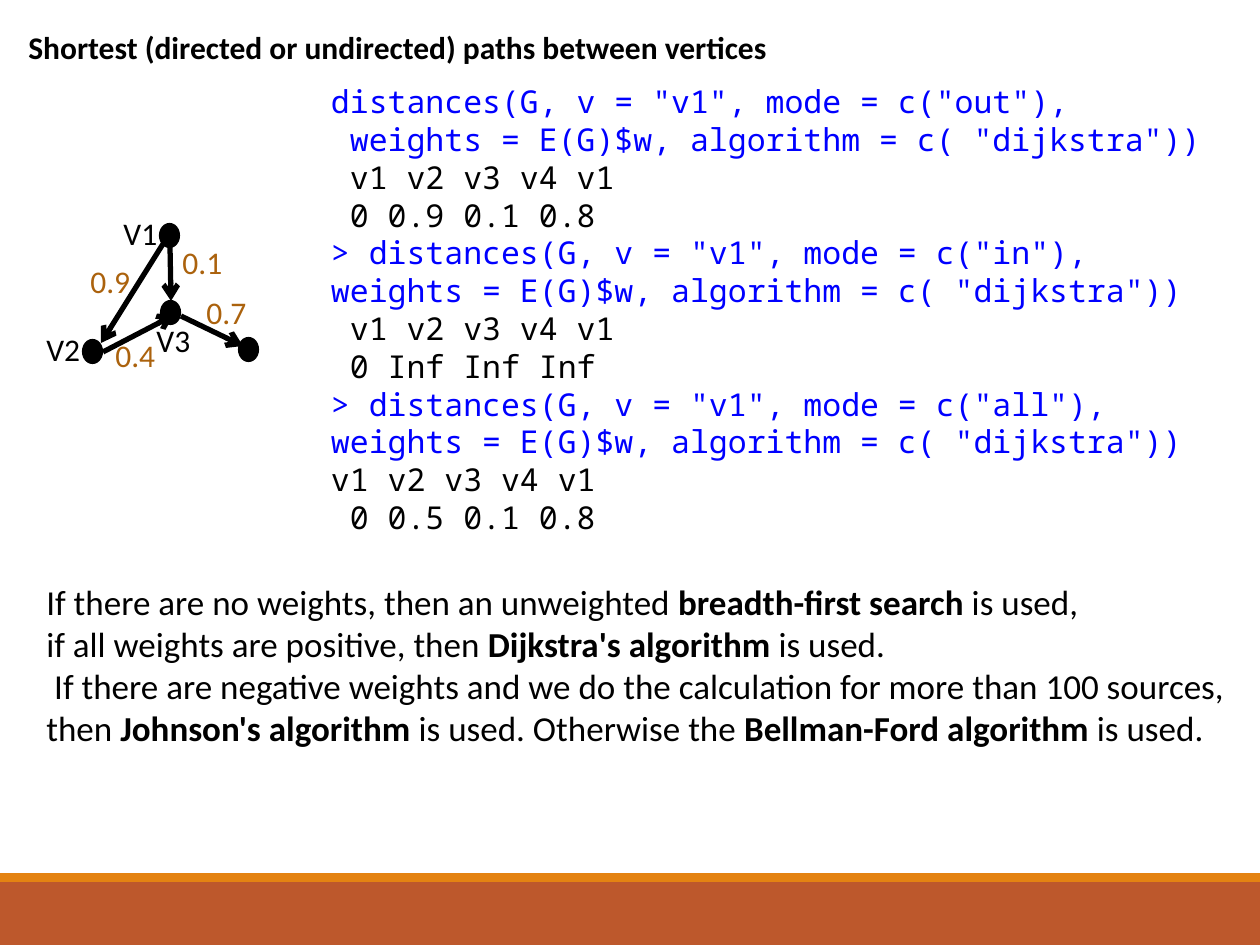
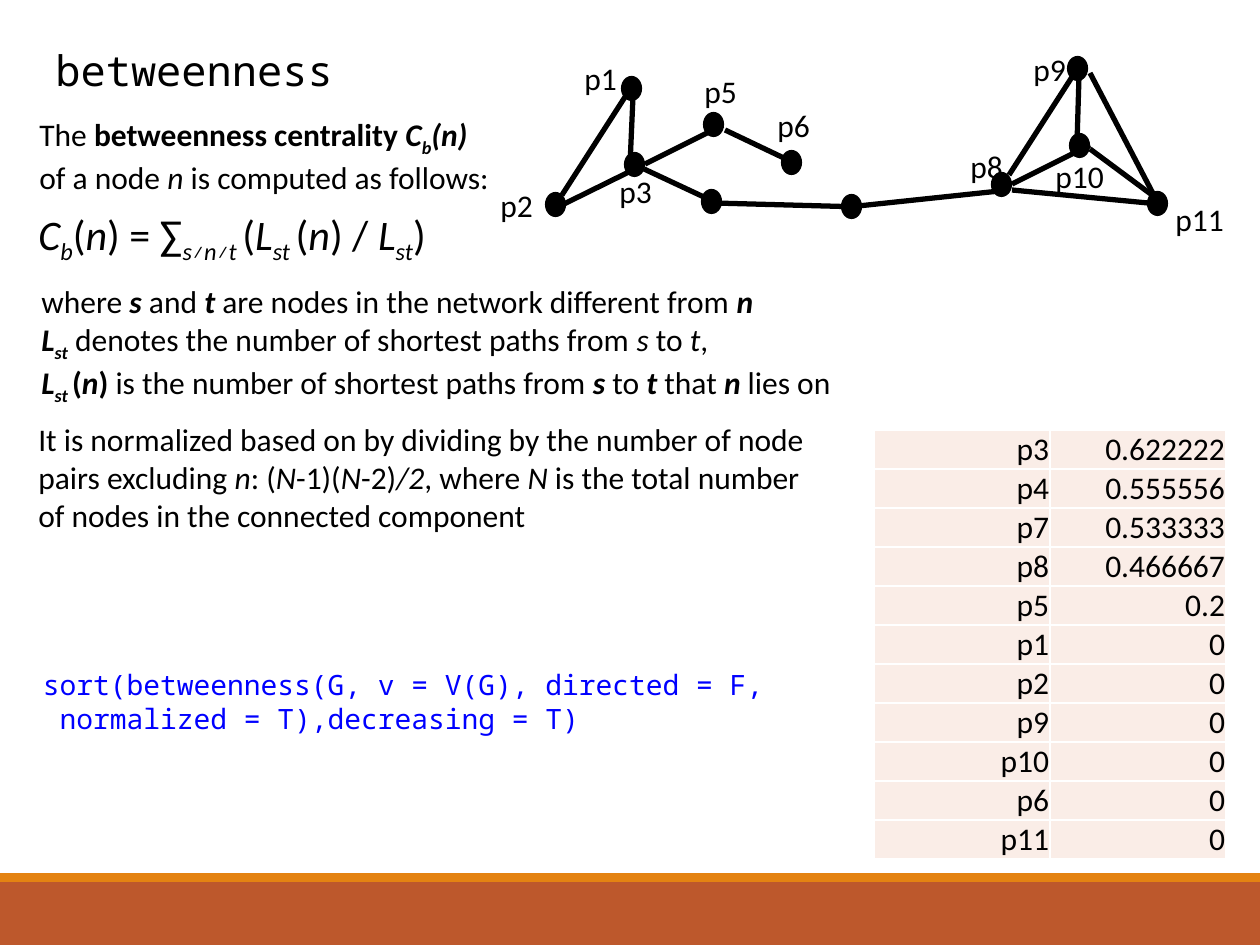
from pptx import Presentation
from pptx import util as u
from pptx.dml.color import RGBColor
from pptx.enum import shapes, text
from pptx.oxml.ns import qn
from lxml import etree

EMU_PER_PX = 914400 / 126
SLIDE_W, SLIDE_H = 1260, 945

BLACK = RGBColor(0x00, 0x00, 0x00)
WHITE = RGBColor(0xFF, 0xFF, 0xFF)
CODE_BLUE = RGBColor(0x00, 0x00, 0xFF)
WEIGHT_BROWN = RGBColor(0xAB, 0x62, 0x0D)
CELL_PINK = RGBColor(0xFA, 0xED, 0xE7)
BAND_RUST = RGBColor(0xBD, 0x58, 0x2C)
BAND_ORANGE = RGBColor(0xE4, 0x83, 0x12)

BODY_FONT, CODE_FONT = "Calibri", "Noto Sans Mono"
DOT_W, DOT_H = 19, 23
LABEL_H = 50

# In texts, * switches bold, ~ italic and _ subscript on and off.
MARKS = {"*": "bold", "~": "italic", "_": "subscript"}

BANDS = [((0, 882, SLIDE_W, 63), BAND_RUST), ((0, 873, SLIDE_W, 9), BAND_ORANGE)]

# Slide 1: shortest paths
PATHS_TITLE = ["*Shortest (directed or undirected) paths between vertices*"]
DISTANCES_CODE = [
    ('distances(G, v = "v1", mode = c("out"),', CODE_BLUE),
    (' weights = E(G)$w, algorithm = c( "dijkstra"))', CODE_BLUE),
    (" v1 v2 v3 v4 v1", BLACK),
    (" 0 0.9 0.1 0.8", BLACK),
    ('> distances(G, v = "v1", mode = c("in"),', CODE_BLUE),
    ('weights = E(G)$w, algorithm = c( "dijkstra"))', CODE_BLUE),
    (" v1 v2 v3 v4 v1", BLACK),
    (" 0 Inf Inf Inf", BLACK),
    ('> distances(G, v = "v1", mode = c("all"),', CODE_BLUE),
    ('weights = E(G)$w, algorithm = c( "dijkstra"))', CODE_BLUE),
    ("v1 v2 v3 v4 v1", BLACK),
    (" 0 0.5 0.1 0.8", BLACK),
]
ALGORITHM_CHOICE = [
    "If there are no weights, then an unweighted *breadth-first search *is used,",
    "if all weights are positive, then *Dijkstra's algorithm *is used.",
    " If there are negative weights and we do the calculation for more than 100 sources, "
    "then *Johnson's algorithm *is used. Otherwise the *Bellman-Ford algorithm *is used.",
]
DIRECTED_GRAPH = {
    "dots": [(160, 224), (161, 301), (239, 338), (83, 340)],
    "edges": [
        (163, 244, 101, 343),
        (170, 244, 171, 301),
        (103, 352, 174, 315),
        (181, 316, 243, 346),
    ],
    "names": [("V1", 111, 208, 59), ("V2", 34, 324, 59), ("V3", 144, 315, 59)],
    "weights": [
        ("0.1", 170, 237, 66),
        ("0.9", 78, 256, 66),
        ("0.4", 103, 330, 66),
        ("0.7", 194, 287, 66),
    ],
}

# Slide 2: betweenness
BETWEENNESS_TITLE = ["betweenness"]
SORT_CODE = [
    ("sort(betweenness(G, v = V(G), directed = F,", CODE_BLUE),
    (" normalized = T),decreasing = T)", CODE_BLUE),
]
DEFINITION = [
    "The *betweenness centrality ~C_b_(n)~*",
    "of a node ~n~ is computed as follows:",
]
FORMULA = ["~C_b_~(~n~) = ∑~_s≠n≠t _~(~L_st _~(~n~) / ~L_st_~)"]
WHERE = [
    "where *~s~* and *~t~* are nodes in the network different from *~n~*",
    "*~L_st_~* denotes the number of shortest paths from ~s~ to ~t~,",
    "*~L_st _~(~n~)* is the number of shortest paths from *~s~* to *~t~* that *~n~* lies on",
]
NORMALIZATION = [
    "It is normalized based on by dividing by the number of node",
    "pairs excluding ~n~: (~N~-1)(~N~-2)~/2~, where ~N~ is the total number",
    "of nodes in the connected component",
]
SCORES = [
    ("p3", "0.622222"), ("p4", "0.555556"), ("p7", "0.533333"), ("p8", "0.466667"),
    ("p5", "0.2"), ("p1", "0"), ("p2", "0"), ("p9", "0"), ("p10", "0"),
    ("p6", "0"), ("p11", "0"),
]
NETWORK = {
    "dots": [
        (622, 77), (625, 153), (702, 190), (546, 193), (704, 113), (782, 151),
        (842, 195), (1068, 57), (1070, 134), (1148, 192), (992, 173),
    ],
    "edges": [
        (625, 97, 562, 195), (633, 97, 630, 165), (643, 165, 564, 204),
        (706, 198, 644, 169), (723, 125, 645, 164), (786, 159, 725, 130),
        (861, 207, 714, 203), (1009, 190, 849, 207),
        (1072, 77, 1009, 175), (1079, 77, 1077, 145), (1090, 145, 1012, 184),
        (1152, 195, 1090, 149), (1090, 73, 1158, 203), (1012, 190, 1148, 203),
    ],
    "names": [
        ("p1", 572, 53, 58), ("p2", 488, 180, 58), ("p3", 607, 166, 58),
        ("p5", 692, 66, 58), ("p6", 765, 100, 58), ("p8", 958, 141, 58),
        ("p9", 1021, 44, 58), ("p10", 1043, 151, 74), ("p11", 1163, 194, 74),
    ],
}


def px(*lengths):
    return [u.Emu(round(length * EMU_PER_PX)) for length in lengths]


def add_marked_runs(paragraph, marked):
    """Split marked text into runs, switching styles at each mark."""
    active, piece = set(), ""

    def flush():
        if not piece:
            return
        run = paragraph.add_run()
        run.text = piece
        if "bold" in active:
            run.font.bold = True
        if "italic" in active:
            run.font.italic = True
        if "subscript" in active:
            run._r.get_or_add_rPr().set("baseline", "-25000")

    for char in marked:
        if char in MARKS:
            flush()
            piece = ""
            active ^= {MARKS[char]}
        else:
            piece += char
    flush()


def style_paragraph(paragraph, size, color=BLACK, font=BODY_FONT, align=text.PP_ALIGN.LEFT):
    paragraph.alignment = align
    paragraph.font.size = u.Pt(size)
    paragraph.font.name = font
    paragraph.font.color.rgb = color


def write_lines(frame, lines, size, font=BODY_FONT, wrap=False):
    """Fill a frame with (marked text, colour) lines."""
    frame.word_wrap = wrap
    frame.auto_size = text.MSO_AUTO_SIZE.SHAPE_TO_FIT_TEXT
    for number, (line, color) in enumerate(lines):
        paragraph = frame.add_paragraph() if number else frame.paragraphs[0]
        style_paragraph(paragraph, size, color, font)
        add_marked_runs(paragraph, line)


def add_text(slide, box, lines, size=18, color=BLACK, font=BODY_FONT, wrap=False):
    frame = slide.shapes.add_textbox(*px(*box)).text_frame
    write_lines(frame, [(line, color) for line in lines], size, font, wrap)


def add_filled(slide, kind, box, color):
    shape = slide.shapes.add_shape(kind, *px(*box))
    shape.shadow.inherit = False
    shape.fill.solid()
    shape.fill.fore_color.rgb = color
    shape.line.fill.background()
    return shape


def add_code(slide, box, lines, size):
    frame = add_filled(slide, shapes.MSO_SHAPE.RECTANGLE, box, WHITE).text_frame
    frame.margin_left = frame.margin_right = frame.margin_top = frame.margin_bottom = 0
    frame.vertical_anchor = text.MSO_ANCHOR.MIDDLE
    write_lines(frame, lines, size, CODE_FONT)


def add_edge(slide, ends, arrow):
    edge = slide.shapes.add_connector(shapes.MSO_CONNECTOR.STRAIGHT, *px(*ends))
    edge.line.color.rgb = BLACK
    edge.line.width = u.Pt(3)
    if arrow:
        etree.SubElement(edge.line._get_or_add_ln(), qn("a:tailEnd"), type="arrow")
    etree.SubElement(edge._element.spPr, qn("a:effectLst"))


def add_graph(slide, graph, directed=False):
    for left, top in graph["dots"]:
        dot = add_filled(slide, shapes.MSO_SHAPE.OVAL, (left, top, DOT_W, DOT_H), BLACK)
        dot.line.color.rgb = BLACK
        dot.line.width = u.Pt(1.25)
    for ends in graph["edges"]:
        add_edge(slide, ends, directed)
    for part, color in (("names", BLACK), ("weights", WEIGHT_BROWN)):
        for label, left, top, width in graph.get(part, []):
            add_text(slide, (left, top, width, LABEL_H), [label], color=color)


def add_cell_borders(cell):
    properties = cell._tc.get_or_add_tcPr()
    for place, side in enumerate(("lnL", "lnR", "lnT", "lnB")):
        border = etree.Element(qn(f"a:{side}"), w=str(u.Pt(1)))
        fill = etree.SubElement(border, qn("a:solidFill"))
        etree.SubElement(fill, qn("a:srgbClr"), val=str(WHITE))
        properties.insert(place, border)


def add_score_table(slide, left, top, column_width, row_height):
    box = px(left, top, 2 * column_width, len(SCORES) * row_height)
    table = slide.shapes.add_table(len(SCORES), 2, *box).table
    table.first_row = table.horz_banding = False
    for row, scores in zip(table.rows, SCORES):
        row.height = px(row_height)[0]
        for cell, value in zip(row.cells, scores):
            cell.margin_left, cell.margin_right, cell.margin_top, cell.margin_bottom = px(1, 1, 1, 0)
            cell.vertical_anchor = text.MSO_ANCHOR.MIDDLE
            cell.fill.solid()
            cell.fill.fore_color.rgb = CELL_PINK
            cell.text = value
            style_paragraph(cell.text_frame.paragraphs[0], 18, align=text.PP_ALIGN.RIGHT)
            add_cell_borders(cell)


def add_banded_slide(deck):
    slide = deck.slides.add_slide(deck.slide_layouts[6])
    for box, color in BANDS:
        add_filled(slide, shapes.MSO_SHAPE.RECTANGLE, box, color)
    return slide


def build_paths_slide(deck):
    slide = add_banded_slide(deck)
    add_code(slide, (331, 80, 910, 458), DISTANCES_CODE, 18)
    add_text(slide, (16, 22, 770, 50), PATHS_TITLE)
    add_graph(slide, DIRECTED_GRAPH, directed=True)
    add_text(slide, (34, 574, 1207, 183), ALGORITHM_CHOICE, size=20, wrap=True)


def build_betweenness_slide(deck):
    slide = add_banded_slide(deck)
    add_code(slide, (43, 667, 731, 68), SORT_CODE, 16)
    add_graph(slide, NETWORK)
    add_text(slide, (43, 38, 307, 63), BETWEENNESS_TITLE, size=24, font=CODE_FONT)
    add_text(slide, (26, 202, 449, 63), FORMULA, size=24)
    add_text(slide, (27, 109, 480, 89), DEFINITION)
    add_text(slide, (29, 276, 830, 127), WHERE)
    add_score_table(slide, 874, 430, 176, 39)
    add_text(slide, (26, 414, 809, 127), NORMALIZATION)


def main():
    deck = Presentation()
    deck.slide_width, deck.slide_height = px(SLIDE_W, SLIDE_H)
    build_paths_slide(deck)
    build_betweenness_slide(deck)
    deck.save("out.pptx")


if __name__ == "__main__":
    main()
